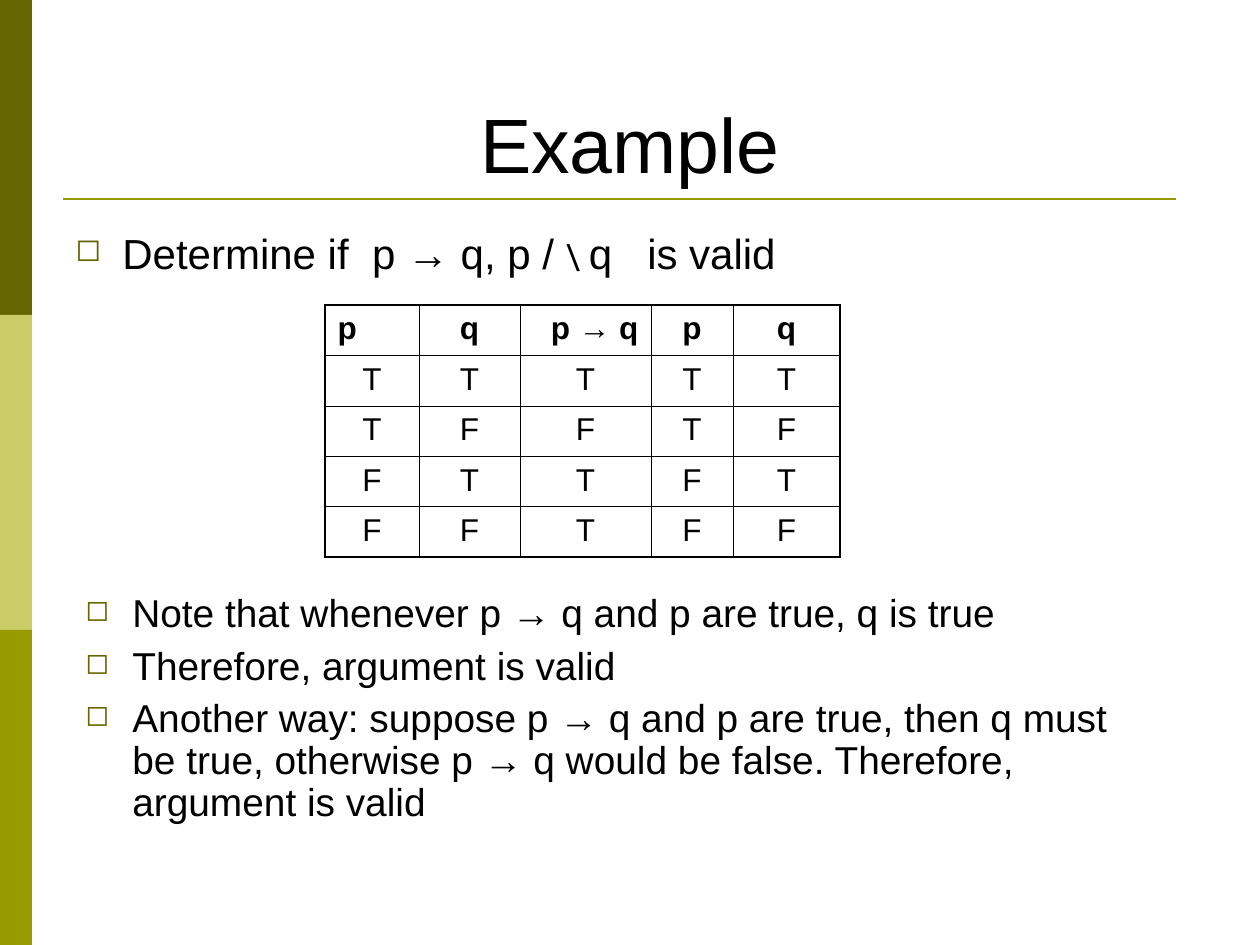
from lxml.etree import SubElement
from pptx import Presentation
from pptx.dml.color import RGBColor
from pptx.enum.shapes import MSO_CONNECTOR, MSO_SHAPE
from pptx.enum.text import MSO_ANCHOR, PP_ALIGN
from pptx.oxml.ns import qn
from pptx.util import Emu, Pt

PX = 914400 / 126
COLORS = {"text": "000000", "dark": "666600", "pale": "CCCC66", "olive": "999900"}
COLUMNS = [94, 101, 131, 82, 107]
HEADERS = ["p", "q", "p → q", "p", "q"]
HEADER_ALIGN = {0: PP_ALIGN.LEFT, 2: PP_ALIGN.RIGHT}
TRUTH_ROWS = ["TTTTT", "TFFTF", "FTTFT", "FFTFF"]
ARGUMENT = [
    ("Determine if", {}),
    (" ", {"spacing": 667}),
    ("p → q, p / ", {}),
    ("\\ ", {"name": "Roboto", "size": Pt(20)}),
    ("q", {}),
    (" ", {"spacing": 1333}),
    ("is valid", {}),
]
NOTES = [
    "Note that whenever p → q and p are true, q is true",
    "Therefore, argument is valid",
    "Another way: suppose p → q and p are true, then q must be true, "
    "otherwise p → q would be false. Therefore, argument is valid",
]


def px(n):
    return Emu(round(n * PX))


def rgb(name):
    return RGBColor.from_string(COLORS[name])


def add_run(p, text, spacing=None, **values):
    """Add a run; spacing is extra character spacing in hundredths of a point."""
    r = p.add_run()
    r.text = text
    for key, value in {"name": "Arial", **values}.items():
        setattr(r.font, key, value)
    r.font.color.rgb = rgb("text")
    if spacing:
        r.font._element.set("spc", str(spacing))


def add_bullet(p):
    pPr = p._p.get_or_add_pPr()
    pPr.set("marL", str(px(47)))
    pPr.set("indent", str(-px(47)))
    color = SubElement(pPr, qn("a:buClr"))
    SubElement(color, qn("a:srgbClr"), val=COLORS["dark"])
    SubElement(pPr, qn("a:buSzPct"), val="75000")
    SubElement(pPr, qn("a:buChar"), char="◻")


def add_bullets(slide, box, paragraphs, size, line_spacing=1.0):
    """Each paragraph is a list of (text, font values) runs."""
    tf = slide.shapes.add_textbox(*map(px, box)).text_frame
    tf.word_wrap = True
    for i, runs in enumerate(paragraphs):
        p = tf.add_paragraph() if i else tf.paragraphs[0]
        add_bullet(p)
        p.line_spacing = line_spacing
        if i:
            p.space_before = Pt(6)
        for text, values in runs:
            add_run(p, text, **{"size": Pt(size), **values})


def add_band(slide, row, color):
    sp = slide.shapes.add_shape(MSO_SHAPE.RECTANGLE, *map(px, (0, 315 * row, 32, 315)))
    sp.shadow.inherit = False
    sp.fill.solid()
    sp.fill.fore_color.rgb = rgb(color)
    sp.line.fill.background()


def add_rule(slide):
    line = slide.shapes.add_connector(MSO_CONNECTOR.STRAIGHT, *map(px, (63, 199, 1176, 199)))
    line.line.color.rgb = rgb("olive")
    line.line.width = Pt(1.5)
    SubElement(line._element.spPr, qn("a:effectLst"))


def set_title(slide, text):
    title = slide.shapes.title
    box = {"left": 63, "top": 38, "width": 1134, "height": 157}
    for key, value in box.items():
        setattr(title, key, px(value))
    tf = title.text_frame
    tf.vertical_anchor = MSO_ANCHOR.BOTTOM
    p = tf.paragraphs[0]
    p.alignment = PP_ALIGN.CENTER
    add_run(p, text, size=Pt(44))


def set_borders(cell, outer):
    """Draw all four sides, heavier on the outer edges of the table."""
    tcPr = cell._tc.get_or_add_tcPr()
    for side in "LRTB":
        width = Pt(1.08 if outer[side] else 0.45)
        ln = SubElement(tcPr, qn(f"a:ln{side}"), w=str(width))
        fill = SubElement(ln, qn("a:solidFill"))
        SubElement(fill, qn("a:srgbClr"), val=COLORS["text"])


def add_truth_table(slide):
    rows = [HEADERS, *TRUTH_ROWS]
    last_row, last_col = len(rows) - 1, len(COLUMNS) - 1
    box = map(px, (325, 305, sum(COLUMNS), 252))
    table = slide.shapes.add_table(len(rows), len(COLUMNS), *box).table
    table.first_row = table.horz_banding = False
    for column, width in zip(table.columns, COLUMNS):
        column.width = px(width)
    for i, row in enumerate(rows):
        for j, text in enumerate(row):
            cell = table.cell(i, j)
            set_borders(cell, {"L": j == 0, "R": j == last_col, "T": i == 0, "B": i == last_row})
            cell.fill.background()
            p = cell.text_frame.paragraphs[0]
            p.alignment = PP_ALIGN.CENTER if i else HEADER_ALIGN.get(j, PP_ALIGN.CENTER)
            add_run(p, text, size=Pt(18), bold=i == 0)


def main():
    prs = Presentation()
    prs.slide_width, prs.slide_height = px(1260), px(945)
    slide = prs.slides.add_slide(prs.slide_layouts[5])
    for row, color in enumerate(["dark", "pale", "olive"]):
        add_band(slide, row, color)
    add_rule(slide)
    set_title(slide, "Example")
    add_bullets(slide, (63, 221, 1061, 94), [ARGUMENT], 24)
    add_truth_table(slide)
    add_bullets(slide, (73, 588, 1061, 284), [[(note, {})] for note in NOTES], 22.2, 0.9)
    prs.save("out.pptx")


if __name__ == "__main__":
    main()
